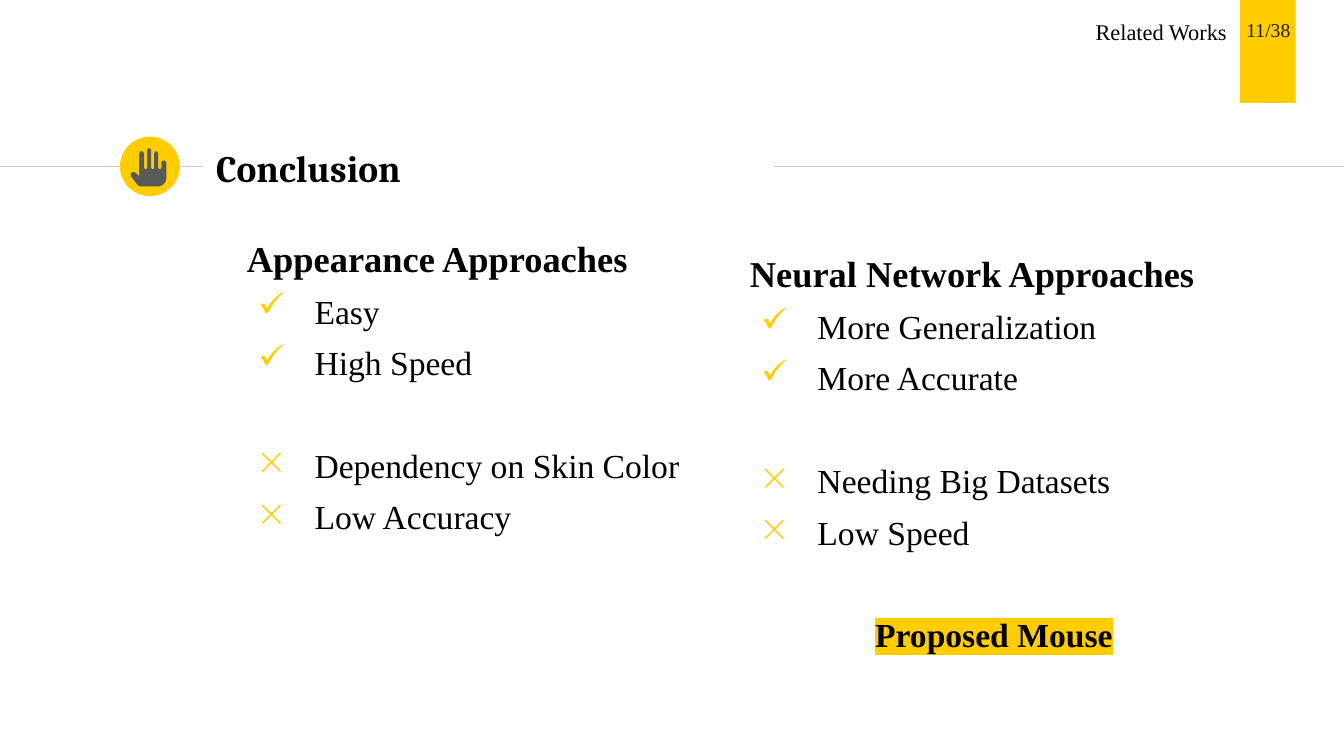
from dataclasses import dataclass
from math import cos, pi, sin

from lxml import etree
from pptx import Presentation
from pptx.dml.color import RGBColor
from pptx.enum.shapes import MSO_CONNECTOR, MSO_SHAPE
from pptx.enum.text import MSO_ANCHOR, PP_ALIGN
from pptx.oxml.ns import qn
from pptx.util import Emu, Inches, Pt

# The grid has square cells of a tenth of an inch.
COLUMNS, ROWS = 133.33, 75
YELLOW, BLACK, RULE_GRAY, HAND_GRAY = "FFCD00", "000000", "CCCCCC", "595959"
SERIF, TITLE_FONT, BULLET_FONT = "Times New Roman", "Cambria", "OpenSymbol"
LINE_GAP, GROUP_GAP = 8, 44.5
HANGING, INSET = 6.7, 1.1


@dataclass(frozen=True)
class Area:
    left: float
    top: float
    width: float
    height: float

    def emu(self) -> tuple:
        return tuple(map(cells, (self.left, self.top, self.width, self.height)))


@dataclass(frozen=True)
class Approach:
    heading: str
    strengths: tuple
    weaknesses: tuple
    area: Area
    verdict: str = ""


@dataclass(frozen=True)
class Finger:
    left: float
    right: float
    tip: float


APPROACHES = (
    Approach("Appearance Approaches", ("Easy", "High Speed"),
             ("Dependency on Skin Color", "Low Accuracy"),
             Area(23.2, 22.1, 49.9, 46.1)),
    Approach("Neural Network Approaches", ("More Generalization", "More Accurate"),
             ("Needing Big Datasets", "Low Speed"),
             Area(73.1, 23.6, 49.9, 47.1), "Proposed Mouse"),
)
FINGERS = (Finger(13.8, 14.3, 15), Finger(14.6, 15, 14.7),
           Finger(15.3, 15.7, 15), Finger(16, 16.5, 15.9))
VALLEY = 16.8


def cells(count: float) -> Emu:
    return Inches(count / 10)


def color(code: str) -> RGBColor:
    return RGBColor.from_string(code)


def add_bullet(paragraph, mark: str) -> None:
    properties = paragraph._p.get_or_add_pPr()
    tint = etree.SubElement(properties, qn("a:buClr"))
    etree.SubElement(tint, qn("a:srgbClr"), val=YELLOW)
    etree.SubElement(properties, qn("a:buFont"), typeface=BULLET_FONT)
    etree.SubElement(properties, qn("a:buChar"), char=mark)


def write(frame, text: str, *, size: float, font: str = SERIF, ink: str = BLACK,
          bold: bool = False, align=PP_ALIGN.LEFT, before: float = 0,
          bullet: str = "", indent: float = 0, highlight: str = "") -> None:
    """Fill the frame's empty first paragraph, or append a new one."""
    first = frame.paragraphs[0]
    paragraph = frame.add_paragraph() if first.runs else first
    paragraph.alignment = align
    if before:
        paragraph.space_before = Pt(before)
    properties = paragraph._p.get_or_add_pPr()
    properties.set("marL", str(cells(HANGING if bullet else indent)))
    properties.set("indent", str(cells(INSET - HANGING) if bullet else 0))
    if bullet:
        add_bullet(paragraph, bullet)
    run = paragraph.add_run()
    run.text = text
    run.font.size, run.font.name, run.font.bold = Pt(size), font, bold
    run.font.color.rgb = color(ink)
    if highlight:
        marker = etree.Element(qn("a:highlight"))
        etree.SubElement(marker, qn("a:srgbClr"), val=highlight)
        run._r.rPr.find(qn("a:solidFill")).addnext(marker)


def prepare_frame(shape, inset: float = 1.3, anchor=MSO_ANCHOR.TOP):
    frame = shape.text_frame
    frame.word_wrap = True
    frame.vertical_anchor = anchor
    frame.margin_left = frame.margin_right = cells(inset)
    frame.margin_top = frame.margin_bottom = cells(inset)
    return frame


def paint(shape, fill: str) -> None:
    shape.shadow.inherit = False
    shape.fill.solid()
    shape.fill.fore_color.rgb = color(fill)
    shape.line.fill.background()


def add_rule(slide, start: float, end: float, row: float = 16.5) -> None:
    rule = slide.shapes.add_connector(
        MSO_CONNECTOR.STRAIGHT, cells(start), cells(row), cells(end), cells(row))
    rule.line.color.rgb = color(RULE_GRAY)
    rule.line.width = Pt(0.75)
    etree.SubElement(rule._element.spPr, qn("a:effectLst"))


def arc(x: float, y: float, radius: float, start: float, end: float) -> list:
    """Points on a circle; angles are in half turns, clockwise from the right."""
    steps = 3
    angles = [pi * (start + (end - start) * i / steps) for i in range(steps + 1)]
    return [(x + radius * cos(a), y + radius * sin(a)) for a in angles]


def hand_outline() -> list:
    points = []
    for finger, following in zip(FINGERS, FINGERS[1:] + (None,)):
        radius = (finger.right - finger.left) / 2
        points += arc(finger.left + radius, finger.tip + radius, radius, 1, 2)
        if following:
            radius = (following.left - finger.right) / 2
            points += arc(finger.right + radius, VALLEY - radius, radius, 1, 0)
    points += arc(15.7, 17.7, 0.8, 0, 0.5)
    points += arc(14, 18, 0.5, 0.5, 0.82)
    points += arc(13.25, 17.35, 0.3, 0.82, 1.75)
    return points + [(FINGERS[0].left, 17.5)]


def add_hand(slide) -> None:
    start, *others = [(cells(x), cells(y)) for x, y in hand_outline()]
    builder = slide.shapes.build_freeform(*start)
    builder.add_line_segments(others, close=True)
    paint(builder.convert_to_shape(), HAND_GRAY)


def add_approach(slide, approach: Approach) -> None:
    frame = prepare_frame(slide.shapes.add_textbox(*approach.area.emu()))
    write(frame, approach.heading, size=26, bold=True)
    for mark, points, gap in (("✓", approach.strengths, LINE_GAP),
                              ("×", approach.weaknesses, GROUP_GAP)):
        for number, point in enumerate(points):
            write(frame, point, size=24, bullet=mark,
                  before=LINE_GAP if number else gap)
    if approach.verdict:
        write(frame, approach.verdict, size=24, bold=True, align=PP_ALIGN.CENTER,
              before=GROUP_GAP, indent=INSET, highlight=YELLOW)


def add_header(slide) -> None:
    tab = slide.shapes.add_shape(MSO_SHAPE.RECTANGLE, *Area(123, 0, 5.55, 10.2).emu())
    paint(tab, YELLOW)
    section = slide.shapes.add_textbox(*Area(60.8, 0.8, 62.2, 4.7).emu())
    write(prepare_frame(section, anchor=MSO_ANCHOR.MIDDLE), "Related Works",
          size=16, align=PP_ALIGN.RIGHT)
    page = slide.shapes.add_textbox(*Area(121, 0.8, 8, 5.7).emu())
    write(prepare_frame(page, inset=1), "11/38", size=14, ink="1D1D1B",
          align=PP_ALIGN.RIGHT)


def add_title(slide) -> None:
    title = slide.shapes.title
    title.left, title.top, title.width, title.height = Area(20.15, 13.4, 56.6, 6.4).emu()
    write(prepare_frame(title, anchor=MSO_ANCHOR.MIDDLE), "Conclusion",
          size=26.7, font=TITLE_FONT, bold=True)


def main() -> None:
    deck = Presentation()
    deck.slide_width, deck.slide_height = cells(COLUMNS), cells(ROWS)
    slide = deck.slides.add_slide(deck.slide_layouts.get_by_name("Title Only"))
    add_rule(slide, 0, 20.1)
    add_rule(slide, 76.8, COLUMNS)
    badge = slide.shapes.add_shape(MSO_SHAPE.OVAL, *Area(11.9, 13.55, 5.95, 5.9).emu())
    paint(badge, YELLOW)
    add_hand(slide)
    add_title(slide)
    add_header(slide)
    for approach in APPROACHES:
        add_approach(slide, approach)
    deck.save("out.pptx")


if __name__ == "__main__":
    main()
